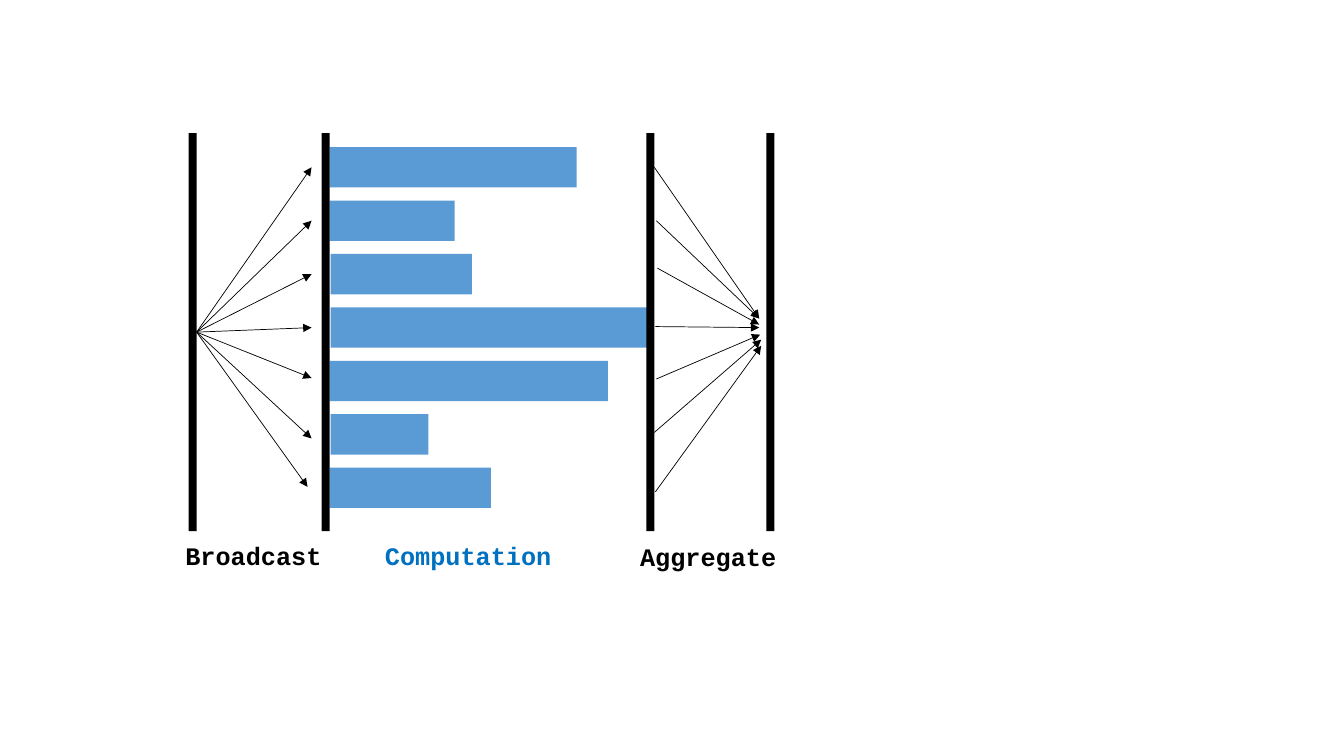
from lxml.etree import SubElement
from pptx import Presentation
from pptx.dml.color import RGBColor
from pptx.enum.shapes import MSO_CONNECTOR as CONN, MSO_SHAPE as SHAPE
from pptx.enum.text import MSO_AUTO_SIZE as AUTO, PP_ALIGN as ALIGN
from pptx.oxml.ns import qn
from pptx.util import Inches, Pt

BLACK, BLUE, LABEL_BLUE = "000000", "5B9BD5", "0070C0"
WALL_TOP, WALL_W, WALL_H = 1.32, 0.08, 3.95
WALL_LEFTS = [1.87, 3.19, 6.41, 7.6]
BAR_TOP, BAR_H, BAR_PITCH = 1.46, 0.4, 0.53
BARS = [(3.27, 2.45), (3.27, 1.24), (3.28, 1.4), (3.28, 3.14),
        (3.27, 2.76), (3.28, 0.97), (3.27, 1.6)]
BROADCAST_FROM = (1.95, 3.29)
BROADCAST_TO = [(3.09, 1.66), (3.09, 2.19), (3.09, 2.72), (3.09, 3.25),
                (3.09, 3.75), (3.09, 4.35), (3.05, 4.83)]
AGGREGATE = [((6.49, 1.66), (7.53, 3.16)), ((6.51, 2.19), (7.53, 3.16)),
             ((6.52, 2.66), (7.53, 3.22)), ((6.5, 3.24), (7.53, 3.25)),
             ((6.51, 3.76), (7.54, 3.32)), ((6.49, 4.29), (7.55, 3.37)),
             ((6.5, 4.88), (7.55, 3.43))]
LABELS = [("Broadcast", 1.74, 5.31, 1.56, BLACK),
          ("Computation", 3.72, 5.31, 1.86, LABEL_BLUE),
          ("Aggregate", 6.25, 5.32, 1.56, BLACK)]


def rgb(color):
    """Turn a hex string into a colour."""
    return RGBColor.from_string(color)


def add_block(s, x, y, w, h, color):
    """Add a filled rectangle without outline and return it."""
    sp = s.shapes.add_shape(SHAPE.RECTANGLE, Inches(x), Inches(y), Inches(w), Inches(h))
    sp.shadow.inherit = False
    sp.fill.solid()
    sp.fill.fore_color.rgb = rgb(color)
    sp.line.fill.background()
    return sp


def add_arrow(s, start, end):
    """Add a thin black arrow from start to end and return it."""
    points = [Inches(v) for v in (*start, *end)]
    arrow = s.shapes.add_connector(CONN.STRAIGHT, *points)
    arrow.line.color.rgb = rgb(BLACK)
    arrow.line.width = Pt(0.5)
    SubElement(arrow.line._get_or_add_ln(), qn("a:tailEnd"), type="triangle")
    SubElement(arrow._element.spPr, qn("a:effectLst"))
    return arrow


def add_label(s, text, x, y, w, color):
    """Add a bold phase label."""
    tf = s.shapes.add_textbox(Inches(x), Inches(y), Inches(w), Inches(0.4)).text_frame
    tf.word_wrap = False
    tf.auto_size = AUTO.SHAPE_TO_FIT_TEXT
    p = tf.paragraphs[0]
    p.text = text
    p.alignment = ALIGN.LEFT
    p.font.name = "Courier New"
    p.font.size = Pt(18)
    p.font.bold = True
    p.font.color.rgb = rgb(color)


def main():
    """Build the slide and save it."""
    prs = Presentation()
    prs.slide_width, prs.slide_height = Inches(13.33), Inches(7.5)
    s = prs.slides.add_slide(prs.slide_layouts[6])
    for i, (x, w) in enumerate(BARS):
        add_block(s, x, BAR_TOP + i * BAR_PITCH, w, BAR_H, BLUE)
    walls = [add_block(s, x, WALL_TOP, WALL_W, WALL_H, BLACK) for x in WALL_LEFTS]
    for end in BROADCAST_TO:
        add_arrow(s, BROADCAST_FROM, end).begin_connect(walls[0], 3)
    for start, end in AGGREGATE:
        add_arrow(s, start, end)
    for label in LABELS:
        add_label(s, *label)
    prs.save("out.pptx")


if __name__ == "__main__":
    main()
